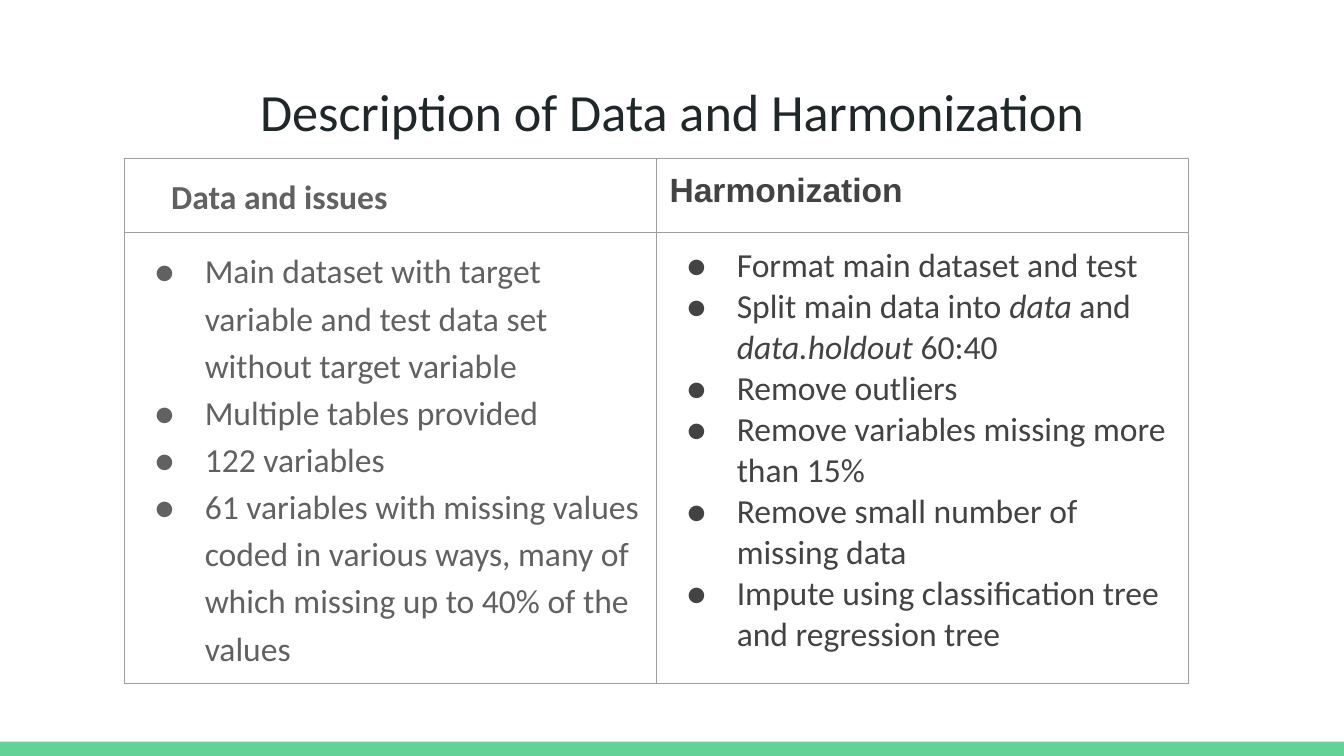
from lxml.etree import SubElement
from pptx import Presentation
from pptx.dml.color import RGBColor
from pptx.enum.shapes import MSO_SHAPE as Shape
from pptx.enum.text import MSO_ANCHOR as Anchor, MSO_AUTO_SIZE as AutoSize, PP_ALIGN as Align
from pptx.oxml.ns import qn
from pptx.util import Pt

GREEN, DARK, GRAY, CHARCOAL, BORDER = "63D297", "202729", "616161", "434343", "9E9E9E"
INSET = 7.2

DATA_ISSUES = [
    ["Main dataset with target variable and test data set without target variable"],
    ["Multiple tables provided"],
    ["122 variables"],
    ["61 variables with missing values coded in various ways, many of which missing up to 40% of the values"],
]
HARMONIZATION = [
    ["Format main dataset and test"],
    ["Split main data into ", "data", " and ", "data.holdout", " 60:40"],
    ["Remove outliers"],
    ["Remove variables missing more than 15%"],
    ["Remove small number of missing data"],
    ["Impute using classification tree and regression tree"],
]


def rgb(color):
    return RGBColor.from_string(color)


class SlideBuilder:
    def __init__(self, slide, font="Calibri", size=18):
        self.slide = slide
        self.font = font
        self.size = size

    def format_run(self, run, color, font=None, size=None, bold=False, italic=False):
        run.font.name = font or self.font
        run.font.size = Pt(size or self.size)
        run.font.bold = bold
        run.font.italic = italic
        run.font.color.rgb = rgb(color)

    def set_insets(self, target):
        target.margin_left = target.margin_right = Pt(INSET)
        target.margin_top = target.margin_bottom = Pt(INSET)

    def bar(self, left, top, width, height, color):
        shape = self.slide.shapes.add_shape(
            Shape.RECTANGLE, Pt(left), Pt(top), Pt(width), Pt(height))
        shape.shadow.inherit = False
        shape.fill.solid()
        shape.fill.fore_color.rgb = rgb(color)
        shape.line.fill.background()

    def title(self, text, left, top, width, height):
        title = self.slide.shapes.title
        title.left, title.top, title.width, title.height = map(Pt, (left, top, width, height))
        text_frame = title.text_frame
        text_frame.text = text
        text_frame.word_wrap = True
        text_frame.auto_size = AutoSize.NONE
        text_frame.vertical_anchor = Anchor.TOP
        self.set_insets(text_frame)
        paragraph = text_frame.paragraphs[0]
        paragraph.alignment = Align.CENTER
        paragraph.line_spacing = 1.0
        paragraph.space_before = Pt(0)
        self.format_run(paragraph.runs[0], DARK, size=28)

    def table(self, left, top, column_widths, row_heights):
        frame = self.slide.shapes.add_table(
            len(row_heights), len(column_widths), Pt(left), Pt(top),
            Pt(sum(column_widths)), Pt(sum(row_heights)))
        table = frame.table
        table.first_row = table.horz_banding = False
        for column, width in zip(table.columns, column_widths):
            column.width = Pt(width)
        for row, height in zip(table.rows, row_heights):
            row.height = Pt(height)
        for cell in table.iter_cells():
            self.set_insets(cell)
            self.border(cell)
            cell.fill.background()
        return table

    def border(self, cell):
        properties = cell._tc.get_or_add_tcPr()
        for side in ("a:lnL", "a:lnR", "a:lnT", "a:lnB"):
            line = SubElement(properties, qn(side), w=str(Pt(0.75)))
            fill = SubElement(line, qn("a:solidFill"))
            SubElement(fill, qn("a:srgbClr"), val=BORDER)

    def heading(self, cell, text, color, font=None, indent=0, line_spacing=1.0, space_after=0):
        cell.text_frame.text = text
        paragraph = cell.text_frame.paragraphs[0]
        paragraph.line_spacing = line_spacing
        paragraph.space_after = Pt(space_after)
        paragraph._p.get_or_add_pPr().set("marL", str(Pt(indent)))
        self.format_run(paragraph.runs[0], color, font, bold=True)

    def bullets(self, cell, items, color, line_spacing=1.0):
        text_frame = cell.text_frame
        for index, parts in enumerate(items):
            paragraph = text_frame.add_paragraph() if index else text_frame.paragraphs[0]
            paragraph.line_spacing = line_spacing
            properties = paragraph._p.get_or_add_pPr()
            properties.set("marL", str(Pt(36)))
            properties.set("indent", str(Pt(-27)))
            bullet_color = SubElement(properties, qn("a:buClr"))
            SubElement(bullet_color, qn("a:srgbClr"), val=color)
            SubElement(properties, qn("a:buFont"), typeface=self.font)
            SubElement(properties, qn("a:buChar"), char="●")
            for position, text in enumerate(parts):
                run = paragraph.add_run()
                run.text = text
                self.format_run(run, color, italic=position % 2 == 1)


def main():
    presentation = Presentation()
    presentation.slide_width, presentation.slide_height = Pt(720), Pt(405)
    slide = presentation.slides.add_slide(presentation.slide_layouts[5])
    builder = SlideBuilder(slide)

    builder.bar(0, 397.4, 720, 7.6, GREEN)
    builder.title("Description of Data and Harmonization", 24.5, 35.3, 671, 45.4)

    table = builder.table(66.5, 84.8, [285, 285], [39.6, 241.6])
    builder.heading(table.cell(0, 0), "Data and issues", GRAY,
                    indent=18, line_spacing=1.15, space_after=16)
    builder.heading(table.cell(0, 1), "Harmonization", CHARCOAL, font="Arial")
    builder.bullets(table.cell(1, 0), DATA_ISSUES, GRAY, line_spacing=1.15)
    builder.bullets(table.cell(1, 1), HARMONIZATION, CHARCOAL)

    presentation.save("out.pptx")


if __name__ == "__main__":
    main()
